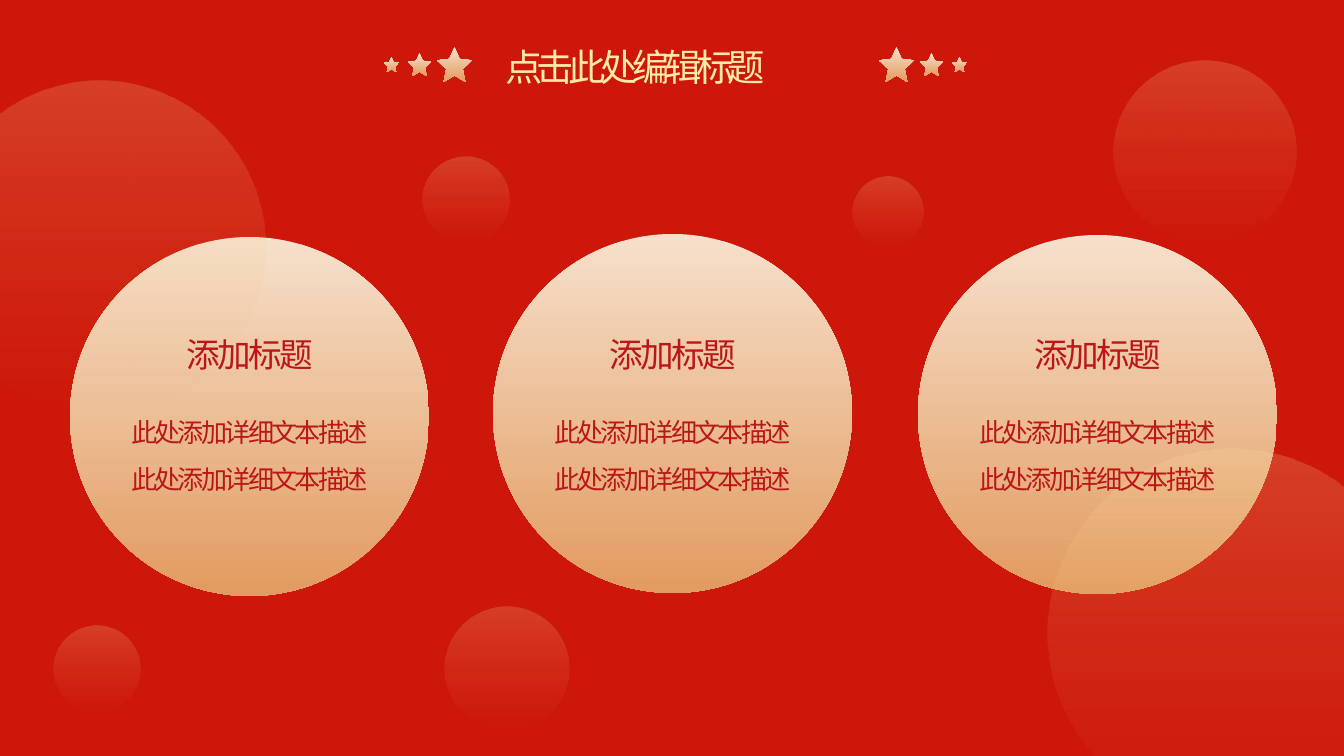
from lxml import etree
from pptx import Presentation
from pptx import util as u
from pptx.dml.color import RGBColor
from pptx.enum import shapes, text
from pptx.oxml.ns import qn

SCALE = u.Inches(10) / 1344
FONT = "Noto Sans CJK SC"
GOLD = [("F6E0CB", 0, 100), ("E29B60", 1, 100)]
GLOW = [("FADF9A", 0, 20), ("F3B05F", 0.99, 0)]


def add_gradient_shape(kind, left, top, size, stops):
    """Add a square shape shaded downwards by (colour, position, opacity %) stops."""
    shape = page.shapes.add_shape(kind, *[round(v * SCALE) for v in (left, top, size, size)])
    shape.shadow.inherit = False
    shape.line.fill.background()
    shape.fill.gradient()
    shape.fill.gradient_angle = 270
    for stop, (colour, position, _) in zip(shape.fill.gradient_stops, stops):
        stop.color.rgb = RGBColor.from_string(colour)
        stop.position = position
    colours = shape.fill._xPr.iter(qn("a:srgbClr"))
    for element, (_, _, opacity) in zip(colours, stops):
        if opacity < 100:
            etree.SubElement(element, qn("a:alpha")).set("val", str(opacity * 1000))
    return shape


def add_text(content, bounds, size, colour, spacing, align, line_spacing=None):
    """Add a text box; spacing is the letter spacing in hundredths of a point."""
    box = page.shapes.add_textbox(*[round(v * SCALE) for v in bounds])
    frame = box.text_frame
    frame.text = content
    frame.word_wrap = True
    frame.auto_size = text.MSO_AUTO_SIZE.SHAPE_TO_FIT_TEXT
    for para in frame.paragraphs:
        para.alignment = align
        para.line_spacing = line_spacing
        for span in para.runs:
            span.font.size = u.Pt(size)
            span.font.name = FONT
            span.font.color.rgb = RGBColor.from_string(colour)
            properties = span.font._element
            properties.set("spc", str(spacing))
            etree.SubElement(properties, qn("a:ea")).set("typeface", FONT)


deck = Presentation()
deck.slide_width = round(1344 * SCALE)
deck.slide_height = round(756 * SCALE)
page = deck.slides.add_slide(deck.slide_layouts[6])
page.background.fill.solid()
page.background.fill.fore_color.rgb = RGBColor.from_string("CD170A")

OVAL = shapes.MSO_SHAPE.OVAL
STAR = shapes.MSO_SHAPE.STAR_5_POINT
CENTER = text.PP_ALIGN.CENTER

# Three gold discs
discs = [(70, 237), (493, 234), (918, 235)]
for left, top in discs:
    add_gradient_shape(OVAL, left, top, 359, GOLD)

# Translucent bubbles
bubbles = [
    (-66, 81, 331), (1048, 449, 367), (423, 157, 86), (54, 626, 86),
    (445, 607, 124), (853, 177, 70), (1114, 61, 182),
]
for left, top, size in bubbles:
    add_gradient_shape(OVAL, left, top, size, GLOW)

# Stars mirrored on both sides of the title
for left, top, size in [(437, 47, 35), (408, 53, 23), (384, 57, 15)]:
    for x in (left, 1351 - left - size):
        star = add_gradient_shape(STAR, x, top, size, GOLD)
        star.adjustments[0] = 0.236

# Heading and description on each disc
for left, _ in discs:
    add_text("此处添加详细文本描述\n此处添加详细文本描述", (left - 16, 394, 391, 156),
             14, "BB1718", -150, CENTER, 1.5)
    add_text("添加标题", (left + 90, 327, 180, 54), 18, "BB1718", -150, CENTER)

add_text("点击此处编辑标题", (492, 38, 360, 59), 20, "FEEBA5", -300, text.PP_ALIGN.JUSTIFY)

deck.save("out.pptx")
